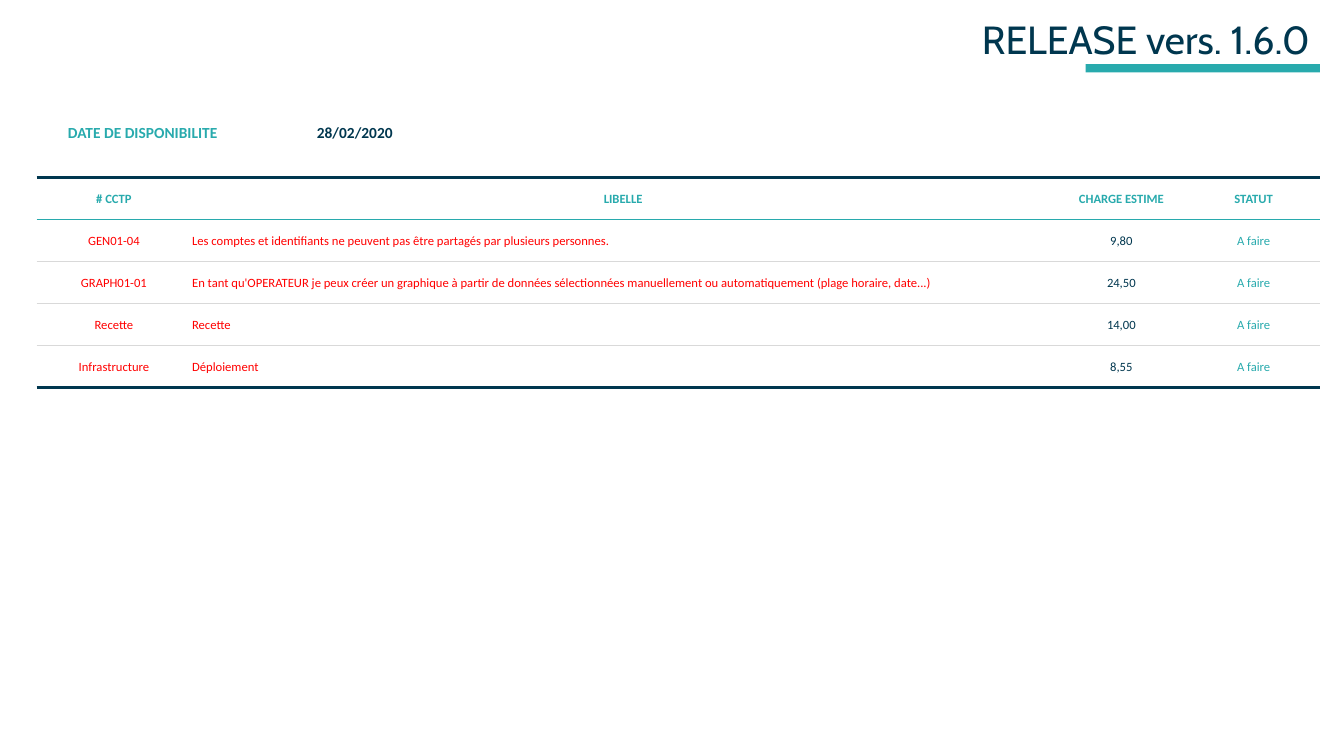
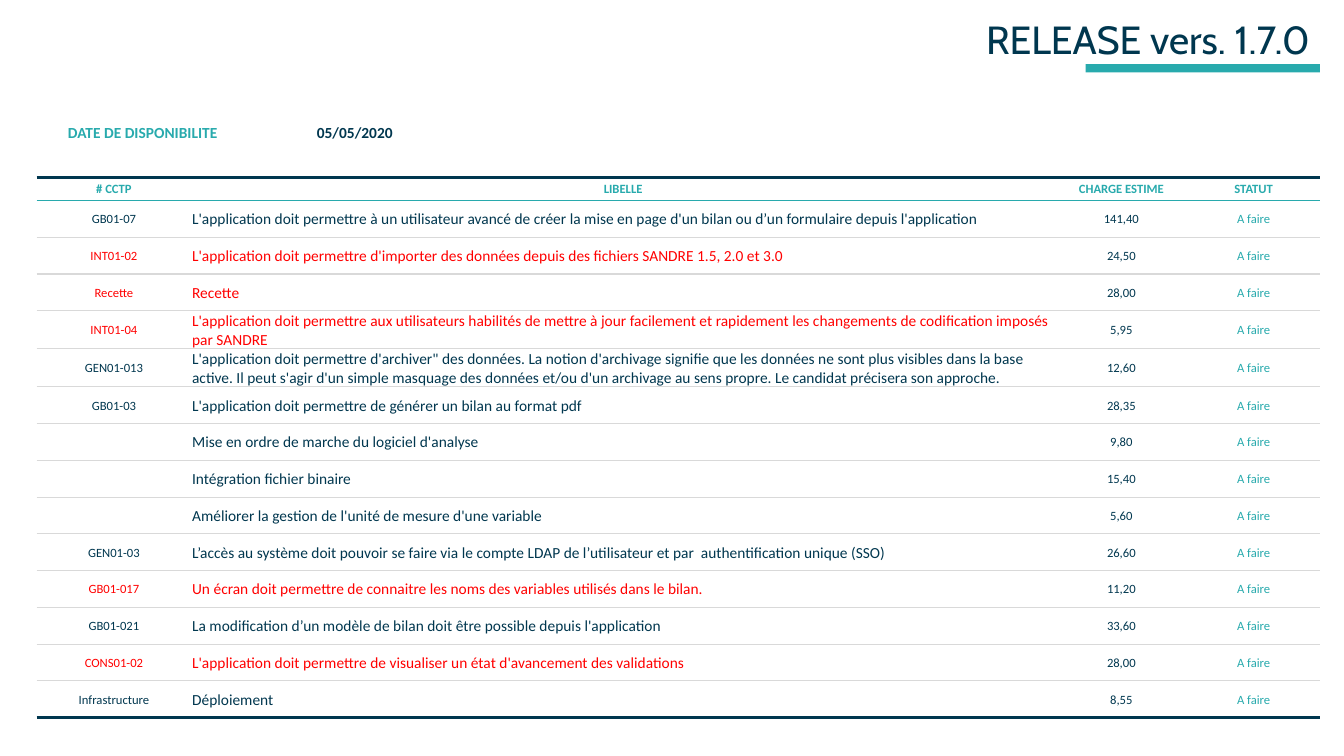
from dataclasses import dataclass

from lxml import etree
from pptx import Presentation
from pptx.dml.color import RGBColor
from pptx.enum.shapes import MSO_SHAPE
from pptx.enum.text import MSO_ANCHOR, PP_ALIGN
from pptx.oxml.ns import qn
from pptx.util import Emu, Pt

RECTANGLE = MSO_SHAPE.RECTANGLE
MIDDLE, BOTTOM = MSO_ANCHOR.MIDDLE, MSO_ANCHOR.BOTTOM
LEFT, CENTER, RIGHT = PP_ALIGN.LEFT, PP_ALIGN.CENTER, PP_ALIGN.RIGHT

PIXEL = 9525
NO_TABLE_STYLE = "{2D5ABB26-0587-4C30-8999-92F81FD0307C}"


@dataclass(frozen=True)
class Theme:
    navy: str = "00374F"
    teal: str = "28AAAD"
    red: str = "FF0000"
    grey: str = "D9D9D9"
    white: str = "FFFFFF"
    title_font: str = "Cabin"
    body_font: str = "Calibri"
    title_size: int = 28
    large_size: int = 11
    small_size: int = 9
    thin: float = 1
    thick: float = 2.25


THEME = Theme()

# Layout, in px
PAGE_WIDTH, PAGE_HEIGHT = 1280, 720
MARGIN_LEFT, MARGIN_RIGHT = 35, 1257
TITLE_LEFT, TITLE_HEIGHT = 244, 65
BAR_LEFT, BAR_TOP, BAR_HEIGHT = 1034, 61, 8
DATE_TOP, DATE_HEIGHT, DATE_COLUMNS = 107, 39, [202, 202]
TASK_TOP, TASK_COLUMNS = 169, [147, 823, 126, 126]

HEADINGS = ["# CCTP", "LIBELLE", "CHARGE ESTIME", "STATUT"]
STATUS = "A faire"

# Each task: reference, label, estimated load, shown in red
RELEASES = [
    {
        "title": "RELEASE vers. 1.6.0",
        "date": "28/02/2020",
        "header_height": 40,
        "row_height": 40,
        "label_size": THEME.small_size,
        "tasks": [
            ("GEN01-04", "Les comptes et identifiants ne peuvent pas être partagés par "
             "plusieurs personnes.", "9,80", True),
            ("GRAPH01-01", "En tant qu'OPERATEUR je peux créer un graphique à partir de "
             "données sélectionnées manuellement ou automatiquement (plage horaire, "
             "date...)", "24,50", True),
            ("Recette", "Recette", "14,00", True),
            ("Infrastructure", "Déploiement", "8,55", True),
        ],
    },
    {
        "title": "RELEASE vers. 1.7.0",
        "date": "05/05/2020",
        "header_height": 22,
        "row_height": 35,
        "label_size": THEME.large_size,
        "tasks": [
            ("GB01-07", "L'application doit permettre à un utilisateur avancé de créer la "
             "mise en page d'un bilan ou d’un formulaire depuis l'application",
             "141,40", False),
            ("INT01-02", "L'application doit permettre d'importer des données depuis des "
             "fichiers SANDRE 1.5, 2.0 et 3.0", "24,50", True),
            ("Recette", "Recette", "28,00", True),
            ("INT01-04", "L'application doit permettre aux utilisateurs habilités de "
             "mettre à jour facilement et rapidement les changements de codification "
             "imposés par SANDRE", "5,95", True),
            ("GEN01-013", "L'application doit permettre d'archiver\" des données. La "
             "notion d'archivage signifie que les données ne sont plus visibles dans la "
             "base active. Il peut s'agir d'un simple masquage des données et/ou d'un "
             "archivage au sens propre. Le candidat précisera son approche.",
             "12,60", False),
            ("GB01-03", "L'application doit permettre de générer un bilan au format pdf",
             "28,35", False),
            ("", "Mise en ordre de marche du logiciel d'analyse", "9,80", False),
            ("", "Intégration fichier binaire", "15,40", False),
            ("", "Améliorer la gestion de l'unité de mesure d'une variable",
             "5,60", False),
            ("GEN01-03", "L’accès au système doit pouvoir se faire via le compte LDAP de "
             "l’utilisateur et par  authentification unique (SSO)", "26,60", False),
            ("GB01-017", "Un écran doit permettre de connaitre les noms des variables "
             "utilisés dans le bilan.", "11,20", True),
            ("GB01-021", "La modification d’un modèle de bilan doit être possible depuis "
             "l'application", "33,60", False),
            ("CONS01-02", "L'application doit permettre de visualiser un état "
             "d'avancement des validations", "28,00", True),
            ("Infrastructure", "Déploiement", "8,55", False),
        ],
    },
]


def px(length):
    return Emu(length * PIXEL)


def apply_format(target, values):
    for name, value in values.items():
        setattr(target, name, value)


# Text
def write_text(frame, text, color, size, font=THEME.body_font, bold=False, align=CENTER):
    para = frame.paragraphs[0]
    para.alignment = align
    if text:
        span = para.add_run()
        span.text = text
        apply_format(span.font, {"name": font, "size": Pt(size), "bold": bold})
        span.font.color.rgb = RGBColor.from_string(color)
    return para


def add_title(page, text):
    box = page.shapes.add_textbox(px(TITLE_LEFT), 0, px(MARGIN_RIGHT - TITLE_LEFT),
                                  px(TITLE_HEIGHT))
    apply_format(box.text_frame, {"word_wrap": True, "vertical_anchor": BOTTOM})
    para = write_text(box.text_frame, text, THEME.navy, THEME.title_size,
                      font=THEME.title_font, align=RIGHT)
    para.line_spacing = 0.9


def add_title_bar(page):
    bar = page.shapes.add_shape(RECTANGLE, px(BAR_LEFT), px(BAR_TOP),
                                px(MARGIN_RIGHT - BAR_LEFT), px(BAR_HEIGHT))
    bar.shadow.inherit = False
    bar.fill.solid()
    bar.fill.fore_color.rgb = RGBColor.from_string(THEME.teal)
    bar.line.fill.background()


# Tables
def add_plain_table(page, top, columns, rows):
    frame = page.shapes.add_table(len(rows), len(columns), px(MARGIN_LEFT), px(top),
                                  px(sum(columns)), px(sum(rows)))
    table = frame.table
    apply_format(table, {"first_row": False, "horz_banding": False})
    for style in frame.element.iter(qn("a:tableStyleId")):
        style.text = NO_TABLE_STYLE
    for column, width in zip(table.columns, columns):
        column.width = px(width)
    for row, height in zip(table.rows, rows):
        row.height = px(height)
    return table


def write_cell(cell, text, color, size, **text_format):
    apply_format(cell, {"margin_left": px(1), "margin_right": px(1),
                        "margin_top": px(1), "margin_bottom": 0,
                        "vertical_anchor": MIDDLE})
    write_text(cell.text_frame, text, color, size, **text_format)


def set_border(cell, side, color, width):
    properties = cell._tc.get_or_add_tcPr()
    line = etree.SubElement(properties, qn("a:" + side), w=str(Pt(width)))
    fill = etree.SubElement(line, qn("a:solidFill"))
    etree.SubElement(fill, qn("a:srgbClr"), val=color)


def rule_rows(table):
    outer = (THEME.navy, THEME.thick)
    header = (THEME.teal, THEME.thin)
    inner = (THEME.grey, THEME.thin)
    row_count = len(table.rows)
    rules = [outer, header] + [inner] * (row_count - 2) + [outer]
    for index, row in enumerate(table.rows):
        for cell in row.cells:
            set_border(cell, "lnT", *rules[index])
            set_border(cell, "lnB", *rules[index + 1])
            cell.fill.solid()
            cell.fill.fore_color.rgb = RGBColor.from_string(THEME.white)


def add_date_table(page, date):
    table = add_plain_table(page, DATE_TOP, DATE_COLUMNS, [DATE_HEIGHT])
    entries = [("DATE DE DISPONIBILITE", THEME.teal), (date, THEME.navy)]
    for cell, (text, color) in zip(table.rows[0].cells, entries):
        write_cell(cell, text, color, THEME.large_size, bold=True)
        cell.fill.background()


def add_task_table(page, release):
    tasks = release["tasks"]
    heights = [release["header_height"]] + [release["row_height"]] * len(tasks)
    table = add_plain_table(page, TASK_TOP, TASK_COLUMNS, heights)
    for column, heading in enumerate(HEADINGS):
        write_cell(table.cell(0, column), heading, THEME.teal, THEME.small_size, bold=True)
    for row, (reference, label, load, is_red) in enumerate(tasks, start=1):
        color = THEME.red if is_red else THEME.navy
        entries = [
            (reference, color, THEME.small_size, CENTER),
            (label, color, release["label_size"], LEFT),
            (load, THEME.navy, THEME.small_size, CENTER),
            (STATUS, THEME.teal, THEME.small_size, CENTER),
        ]
        for column, (text, text_color, size, align) in enumerate(entries):
            write_cell(table.cell(row, column), text, text_color, size, align=align)
    rule_rows(table)


def main():
    deck = Presentation()
    apply_format(deck, {"slide_width": px(PAGE_WIDTH), "slide_height": px(PAGE_HEIGHT)})
    blank = deck.slide_layouts[6]
    for release in RELEASES:
        page = deck.slides.add_slide(blank)
        add_title_bar(page)
        add_title(page, release["title"])
        add_task_table(page, release)
        add_date_table(page, release["date"])
    deck.save("out.pptx")


if __name__ == "__main__":
    main()
